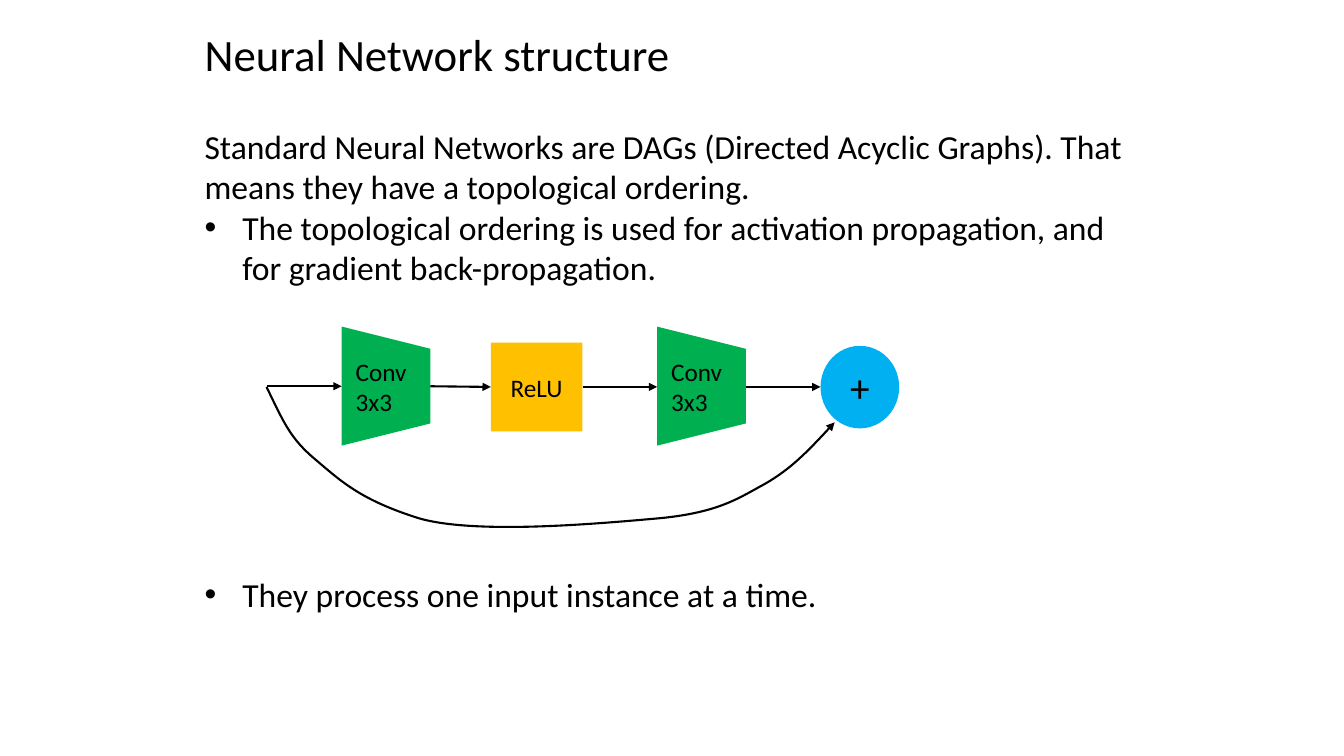
"""Builds the slide on neural network structure with its residual block diagram."""
import pptx
import pptx.util
import pptx.dml.color
import pptx.enum.shapes
import pptx.enum.text
import pptx.oxml.ns
import pptx.oxml.xmlchemy

Pt = pptx.util.Pt
qn = pptx.oxml.ns.qn
OxmlElement = pptx.oxml.xmlchemy.OxmlElement
SHAPE = pptx.enum.shapes.MSO_SHAPE
ALIGN = pptx.enum.text.PP_ALIGN
ANCHOR = pptx.enum.text.MSO_ANCHOR


def colour(value):
    """Return the colour for a hex string."""
    return pptx.dml.color.RGBColor.from_string(value)


def write(paragraph, words, size):
    """Add one black run in Calibri."""
    run = paragraph.add_run()
    run.text = words
    run.font.size = Pt(size)
    run.font.name = "Calibri"
    run.font.color.rgb = colour("000000")


deck = pptx.Presentation()
deck.slide_width, deck.slide_height = Pt(960), Pt(540)
slide = deck.slides.add_slide(deck.slide_layouts[5])
shapes = slide.shapes

explanation = shapes.add_textbox(Pt(139), Pt(82.8), Pt(677.5), Pt(422.6))
heading = shapes.title
heading.left, heading.top, heading.width, heading.height = Pt(139), Pt(12.2), Pt(584), Pt(63.4)
for block in (explanation, heading):
    frame = block.text_frame
    frame.word_wrap = True
    frame.auto_size = pptx.enum.text.MSO_AUTO_SIZE.NONE
    frame.vertical_anchor = ANCHOR.TOP
    frame.margin_left = frame.margin_right = frame.margin_top = frame.margin_bottom = Pt(7.2)
    frame.paragraphs[0].alignment = ALIGN.LEFT
write(heading.text_frame.paragraphs[0], "Neural Network structure", 32)

write(
    explanation.text_frame.paragraphs[0],
    "Standard Neural Networks are DAGs (Directed Acyclic Graphs). "
    "That means they have a topological ordering.",
    24,
)
points = [
    ("The topological ordering is used for activation propagation, and for gradient back-propagation.", 0),
    ("They process one input instance at a time.", 205),
]
for words, space_before in points:
    point = explanation.text_frame.add_paragraph()
    point.space_before = Pt(space_before)
    properties = point._p.get_or_add_pPr()
    properties.set("marL", str(Pt(27)))
    properties.set("indent", str(Pt(-27)))
    for tag, key, value in (("a:buFont", "typeface", "Arial"), ("a:buChar", "char", "•")):
        bullet = OxmlElement(tag)
        bullet.set(key, value)
        properties.append(bullet)
    write(point, words, 24)

nodes = [
    (SHAPE.RECTANGLE, "FFC000", "ReLU", 18, 350.6, 244.8, 65.5, 63.4),
    (SHAPE.OVAL, "00B0F0", "+", 28, 586.1, 247, 56.2, 59),
]
for kind, fill, words, size, left, top, width, height in nodes:
    node = shapes.add_shape(kind, Pt(left), Pt(top), Pt(width), Pt(height))
    node.shadow.inherit = False
    node.fill.solid()
    node.fill.fore_color.rgb = colour(fill)
    node.line.fill.background()
    node.text_frame.vertical_anchor = ANCHOR.MIDDLE
    node.text_frame.paragraphs[0].alignment = ALIGN.CENTER
    write(node.text_frame.paragraphs[0], words, size)

for left in (233.3, 458.6):
    convolution = shapes.add_group_shape().shapes
    funnel = convolution.add_shape(SHAPE.TRAPEZOID, Pt(left), Pt(244.1), Pt(85), Pt(63.4))
    funnel.rotation = 90
    funnel.shadow.inherit = False
    funnel.fill.solid()
    funnel.fill.fore_color.rgb = colour("00B050")
    funnel.line.fill.background()
    label = convolution.add_textbox(Pt(left + 13.7), Pt(250.6), Pt(51.1), Pt(51.1))
    label.text_frame.word_wrap = False
    label.text_frame.auto_size = pptx.enum.text.MSO_AUTO_SIZE.SHAPE_TO_FIT_TEXT
    label_lines = label.text_frame.paragraphs[0]
    write(label_lines, "Conv", 18)
    label_lines.add_line_break()
    write(label_lines, "3x3", 18)

arrows = []
for start, start_y, end, end_y in (
    (190.4, 275.9, 244.1, 275.9),
    (307.5, 275.9, 350.6, 276.4),
    (416.1, 276.4, 469.4, 276.4),
    (532.8, 276.4, 586.1, 276.4),
):
    arrow = shapes.add_connector(
        pptx.enum.shapes.MSO_CONNECTOR.STRAIGHT, Pt(start), Pt(start_y), Pt(end), Pt(end_y)
    )
    arrow._element.spPr.append(OxmlElement("a:effectLst"))
    arrows.append(arrow)

bezier = [
    (203, 302.4), (207.4, 313.2), (225.4, 328.3),
    (244.1, 344.2), (257.8, 357.1), (298.8, 370.1),
    (339.8, 382.3), (431.3, 373.7), (472.3, 370.1),
    (514.1, 365.8), (527.8, 355.7), (546.5, 345.6),
    (565.2, 334.8), (578.9, 320.4), (596.2, 301.7),
]
builder = shapes.build_freeform(Pt(190.4), Pt(276.4))
builder.add_line_segments([(Pt(x), Pt(y)) for x, y in bezier], close=False)
skip = builder.convert_to_shape()
skip.shadow.inherit = False
skip.fill.background()
outline = next(skip._element.iter(qn("a:path")))
segments = outline.findall(qn("a:lnTo"))
for first in range(0, len(segments), 3):
    curve = OxmlElement("a:cubicBezTo")
    for segment in segments[first:first + 3]:
        curve.append(segment[0])
        outline.remove(segment)
    outline.append(curve)
skip.height = Pt(100)
outline.set("h", str(Pt(100)))
arrows.append(skip)

for arrow in arrows:
    arrow.line.color.rgb = colour("000000")
    arrow.line.width = Pt(1.5)
    tip = OxmlElement("a:tailEnd")
    tip.set("type", "triangle")
    arrow.line._get_or_add_ln().append(tip)

deck.save("out.pptx")
